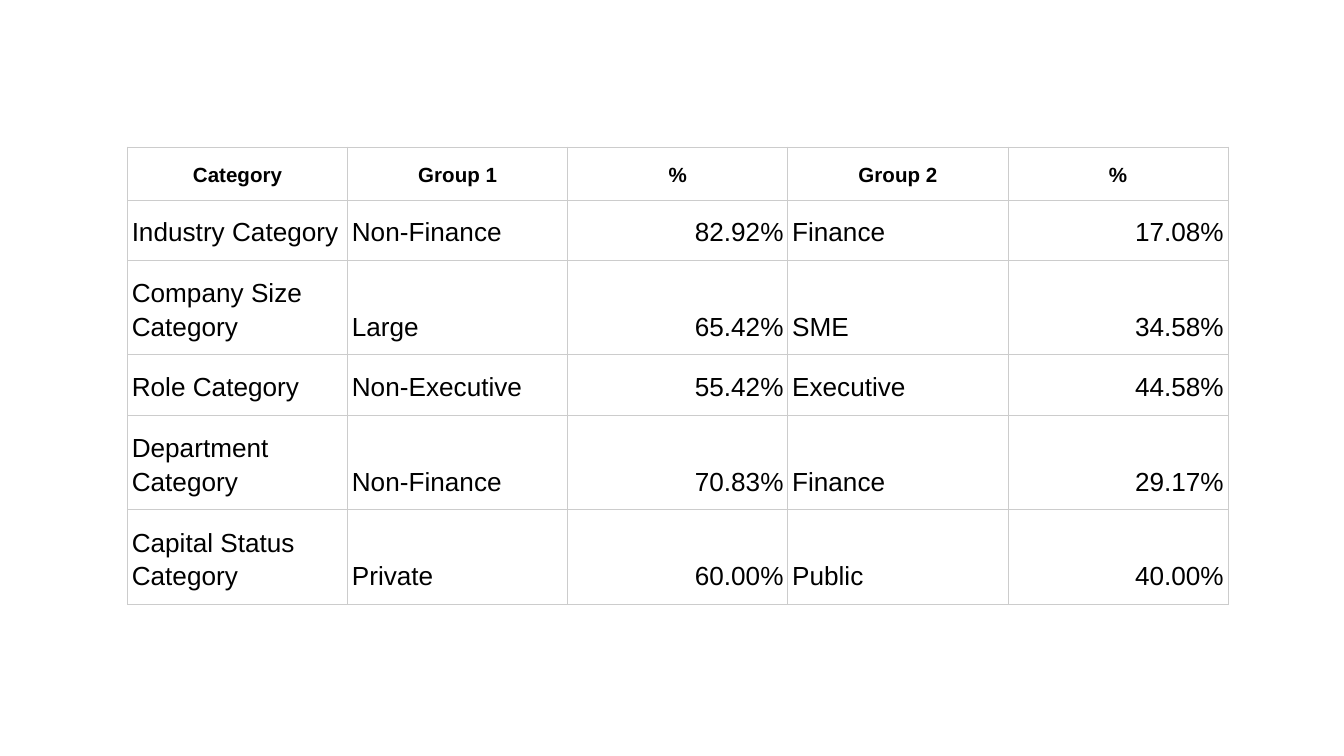
"""Build a slide with a table of respondent shares by category."""
from lxml import etree
from pptx import Presentation
from pptx.dml.color import RGBColor
from pptx.enum.text import MSO_ANCHOR, PP_ALIGN
from pptx.oxml.ns import qn
from pptx.util import Cm, Pt

BLACK = RGBColor(0x00, 0x00, 0x00)
GRID = RGBColor(0xCC, 0xCC, 0xCC)
BOTTOM = MSO_ANCHOR.BOTTOM
LEFT, CENTER, RIGHT = PP_ALIGN.LEFT, PP_ALIGN.CENTER, PP_ALIGN.RIGHT

FONT = "Arial"
COL_WIDTH = Cm(4.16)
ROW_HEIGHTS = [Cm(h) for h in (1, 1.13, 1.79, 1.13, 1.79, 1.79)]
ROWS = [
    ("Category", "Group 1", "%", "Group 2", "%"),
    ("Industry Category", "Non-Finance", "82.92%", "Finance", "17.08%"),
    ("Company Size Category", "Large", "65.42%", "SME", "34.58%"),
    ("Role Category", "Non-Executive", "55.42%", "Executive", "44.58%"),
    ("Department Category", "Non-Finance", "70.83%", "Finance", "29.17%"),
    ("Capital Status Category", "Private", "60.00%", "Public", "40.00%"),
]


def add_borders(cell):
    """Draw a thin grey line on every side of the cell."""
    tcPr = cell._tc.get_or_add_tcPr()
    for side in ("a:lnL", "a:lnR", "a:lnT", "a:lnB"):
        ln = etree.SubElement(tcPr, qn(side), w=str(Pt(0.6)))
        fill = etree.SubElement(ln, qn("a:solidFill"))
        etree.SubElement(fill, qn("a:srgbClr"), val=str(GRID))


def fill_cell(cell, text, size, bold, align):
    """Write one cell's text with its border and margins."""
    add_borders(cell)
    cell.fill.background()
    cell.vertical_anchor = BOTTOM
    cell.margin_left = cell.margin_right = Cm(0.08)
    cell.margin_top = cell.margin_bottom = Cm(0.25)
    p = cell.text_frame.paragraphs[0]
    p.alignment = align
    p.line_spacing = 1.15
    r = p.add_run()
    r.text = text
    r.font.name = FONT
    r.font.size = Pt(size)
    r.font.bold = bold
    r.font.color.rgb = BLACK


def add_share_table(s):
    """Add the table of categories, groups and percentages."""
    n_cols = len(ROWS[0])
    frame = s.shapes.add_table(len(ROWS), n_cols, Cm(2.41), Cm(2.78),
                               COL_WIDTH * n_cols, sum(ROW_HEIGHTS))
    table = frame.table
    table.first_row = table.horz_banding = False
    for col in table.columns:
        col.width = COL_WIDTH
    for i, (values, height) in enumerate(zip(ROWS, ROW_HEIGHTS)):
        table.rows[i].height = height
        for j, text in enumerate(values):
            if i == 0:
                fill_cell(table.cell(i, j), text, 11, True, CENTER)
            else:
                align = RIGHT if text.endswith("%") else LEFT
                fill_cell(table.cell(i, j), text, 14, False, align)


def main():
    """Create the presentation and save it."""
    prs = Presentation()
    prs.slide_width, prs.slide_height = Cm(25.4), Cm(14.29)
    s = prs.slides.add_slide(prs.slide_layouts[6])
    add_share_table(s)
    prs.save("out.pptx")


if __name__ == "__main__":
    main()
